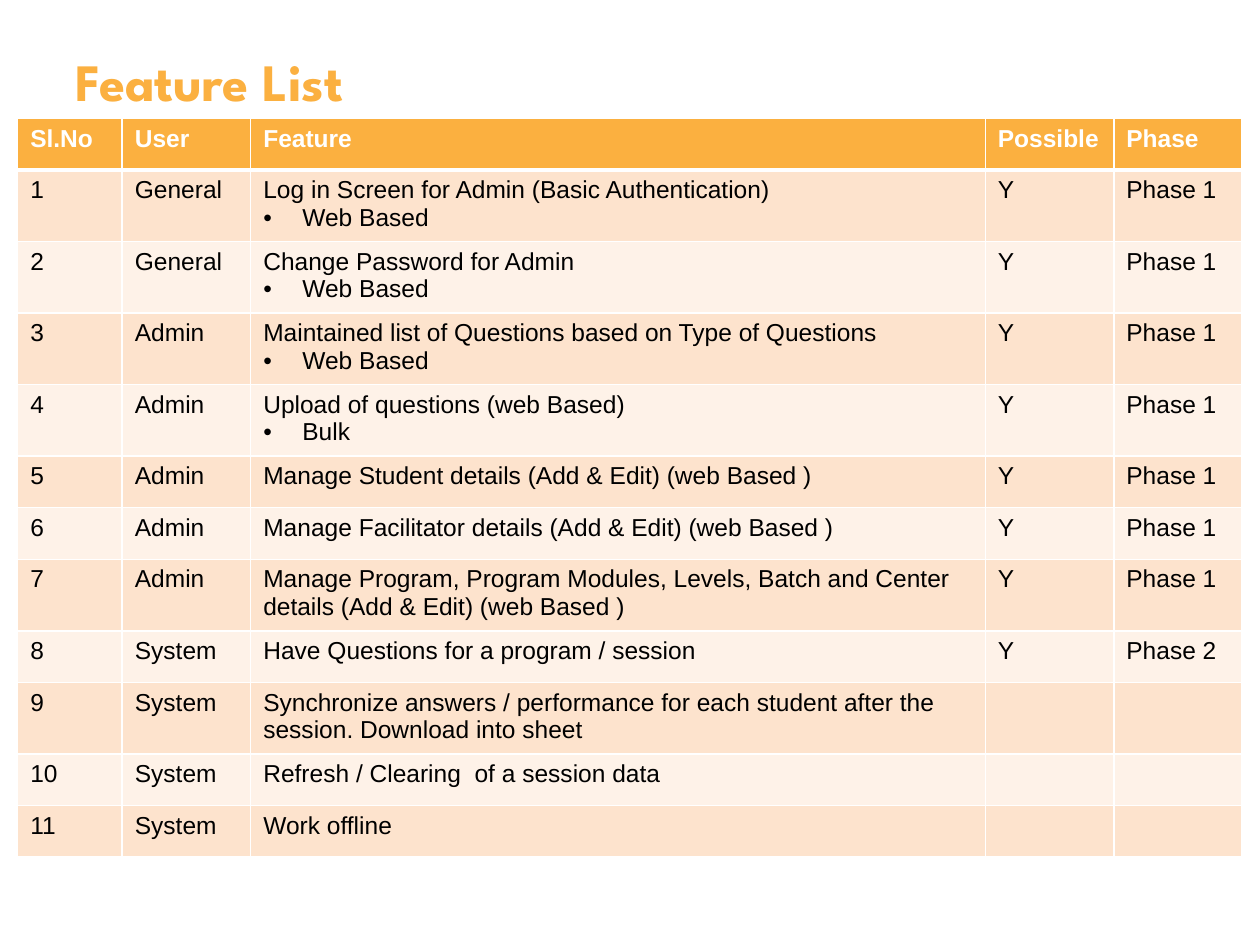
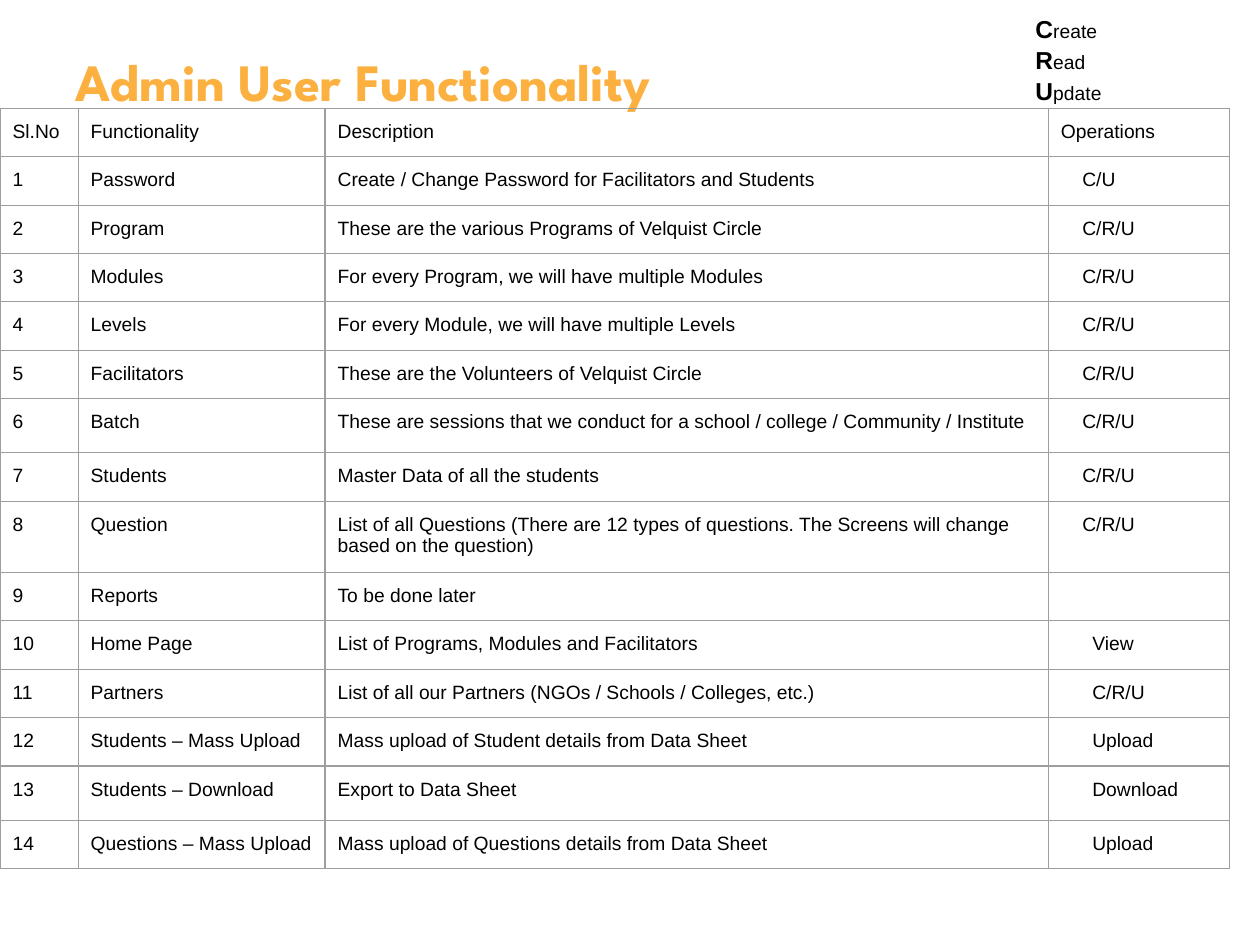
from lxml import etree
from pptx import Presentation
from pptx import util as u
from pptx.dml.color import RGBColor
from pptx.enum import text
from pptx.oxml import ns

# Shared look
ORANGE = RGBColor(0xFB, 0xB0, 0x40)
PEACH = RGBColor(0xFD, 0xE3, 0xCD)
CREAM = RGBColor(0xFE, 0xF2, 0xE8)
WHITE = RGBColor(0xFF, 0xFF, 0xFF)
BLACK = RGBColor(0, 0, 0)
GREY = RGBColor(0x9E, 0x9E, 0x9E)
TITLE_FONT, BODY_FONT = "League Spartan", "Arial"

prs = Presentation()
prs.slide_width, prs.slide_height = u.Inches(10), u.Inches(7.5)


def style(r, size, color=BLACK, bold=False, name=BODY_FONT):
    r.font.size, r.font.bold, r.font.name = u.Pt(size), bold, name
    r.font.color.rgb = color


def add_grid(s, left, top, widths, heights, size, margin, line):
    """Add an unstyled table and return it with its cells' edges drawn."""
    frame = s.shapes.add_table(len(heights), len(widths), u.Inches(left), u.Inches(top),
                               u.Inches(sum(widths)), u.Inches(sum(heights)))
    table = frame.table
    table.first_row = table.horz_banding = False
    for column, width in zip(table.columns, widths):
        column.width = u.Inches(width)
    for row, height in zip(table.rows, heights):
        row.height = u.Inches(height)
    color, points = line
    for cell in table.iter_cells():
        cell.margin_top = cell.margin_bottom = u.Inches(margin)
        cell.margin_left = cell.margin_right = u.Inches(0.1)
        tcPr = cell._tc.get_or_add_tcPr()
        for side in ("lnL", "lnR", "lnT", "lnB"):
            ln = etree.SubElement(tcPr, ns.qn("a:" + side), w=str(u.Pt(points)))
            fill = etree.SubElement(ln, ns.qn("a:solidFill"))
            etree.SubElement(fill, ns.qn("a:srgbClr"), val=str(color))
        cell.fill.background()
        # An empty cell keeps the row's text size
        etree.SubElement(cell.text_frame.paragraphs[0]._p, ns.qn("a:endParaRPr"),
                         sz=str(size * 100))
    return table


# Slides and titles
slides = []
for title in ("Feature List", "Admin User Functionality"):
    s = prs.slides.add_slide(prs.slide_layouts[6])
    sp = s.shapes.add_textbox(u.Inches(0.5), u.Inches(0.29), u.Inches(9), u.Inches(0.69))
    tf = sp.text_frame
    tf.word_wrap = True
    tf.vertical_anchor = text.MSO_ANCHOR.MIDDLE
    tf.text = title
    style(tf.paragraphs[0].runs[0], 30, ORANGE, True, TITLE_FONT)
    slides.append(s)
feature_slide, admin_slide = slides

# Feature table: a second line in a feature is a bullet
features = [
    ("Sl.No", "User", "Feature", "Possible", "Phase"),
    ("1", "General", "Log in Screen for Admin (Basic Authentication)\nWeb Based", "Y", "Phase 1"),
    ("2", "General", "Change Password for Admin\nWeb Based", "Y", "Phase 1"),
    ("3", "Admin", "Maintained list of Questions based on Type of Questions\nWeb Based",
     "Y", "Phase 1"),
    ("4", "Admin", "Upload of questions (web Based)\nBulk", "Y", "Phase 1"),
    ("5", "Admin", "Manage Student details (Add & Edit) (web Based )", "Y", "Phase 1"),
    ("6", "Admin", "Manage Facilitator details (Add & Edit) (web Based )", "Y", "Phase 1"),
    ("7", "Admin", "Manage Program, Program Modules, Levels, Batch and Center details "
     "(Add & Edit) (web Based )", "Y", "Phase 1"),
    ("8", "System", "Have Questions for a program / session", "Y", "Phase 2"),
    ("9", "System", "Synchronize answers / performance for each student after the session. "
     "Download into sheet", "", ""),
    ("10", "System", "Refresh / Clearing  of a session data", "", ""),
    ("11", "System", "Work offline", "", ""),
]
table = add_grid(feature_slide, 0.14, 0.94, [0.83, 1.02, 5.83, 1.02, 1.02],
                 [0.41] * len(features), 14, 0.05, (WHITE, 1))
for i, row in enumerate(features):
    for j, value in enumerate(row):
        cell = table.cell(i, j)
        cell.fill.solid()
        cell.fill.fore_color.rgb = ORANGE if i == 0 else PEACH if i % 2 else CREAM
        if i < 2:  # heavy rule between header and body
            edge = "a:lnT" if i else "a:lnB"
            cell._tc.tcPr.find(ns.qn(edge)).set("w", str(u.Pt(3)))
        if not value:
            continue
        cell.text_frame.text = value
        for k, p in enumerate(cell.text_frame.paragraphs):
            style(p.runs[0], 14, WHITE if i == 0 else BLACK, i == 0)
            if k:
                pPr = p._p.get_or_add_pPr()
                pPr.set("marL", str(u.Inches(0.31)))
                pPr.set("indent", str(-u.Inches(0.31)))
                etree.SubElement(pPr, ns.qn("a:buFont"), typeface=BODY_FONT)
                etree.SubElement(pPr, ns.qn("a:buChar"), char="•")

# Admin functionality table
functions = [
    ("Sl.No", "Functionality", "Description", "Operations"),
    ("1", "Password", "Create / Change Password for Facilitators and Students", "C/U"),
    ("2", "Program", "These are the various Programs of Velquist Circle", "C/R/U"),
    ("3", "Modules", "For every Program, we will have multiple Modules", "C/R/U"),
    ("4", "Levels", "For every Module, we will have multiple Levels", "C/R/U"),
    ("5", "Facilitators", "These are the Volunteers of Velquist Circle", "C/R/U"),
    ("6", "Batch", "These are sessions that we conduct for a school / college / "
     "Community / Institute", "C/R/U"),
    ("7", "Students", "Master Data of all the students", "C/R/U"),
    ("8", "Question", "List of all Questions (There are 12 types of questions. "
     "The Screens will change based on the question)", "C/R/U"),
    ("9", "Reports", "To be done later", ""),
    ("10", "Home Page", "List of Programs, Modules and Facilitators", "View"),
    ("11", "Partners", "List of all our Partners (NGOs / Schools / Colleges, etc.)", "C/R/U"),
    ("12", "Students – Mass Upload", "Mass upload of Student details from Data Sheet", "Upload"),
    ("13", "Students – Download", "Export to Data Sheet", "Download"),
    ("14", "Questions – Mass Upload", "Mass upload of Questions details from Data Sheet",
     "Upload"),
]
TALL_ROWS = {6: 0.43, 8: 0.54, 13: 0.43}
table = add_grid(admin_slide, 0, 0.86, [0.62, 1.96, 5.74, 1.44],
                 [TALL_ROWS.get(i, 0.37) for i in range(len(functions))],
                 11, 0.1, (GREY, 0.75))
for i, row in enumerate(functions):
    for j, value in enumerate(row):
        if not value:
            continue
        p = table.cell(i, j).text_frame.paragraphs[0]
        p.text = value
        style(p.runs[0], 11)
        if i and j == 3:  # operations are indented, more so from row 10 on
            p._p.get_or_add_pPr().set("marL", str(u.Inches(0.17 if i < 10 else 0.25)))

# Key to the operation letters
sp = admin_slide.shapes.add_textbox(u.Inches(8.12), u.Inches(0.05), u.Inches(0.73),
                                    u.Inches(0.81))
tf = sp.text_frame
tf.word_wrap = False
tf.text = "\n".join(["C", "R", "U"])
for p, rest in zip(tf.paragraphs, ("reate", "ead", "pdate")):
    p.line_spacing = 1.05
    style(p.runs[0], 14, bold=True)
    r = p.add_run()
    r.text = rest
    style(r, 11)

prs.save("out.pptx")
